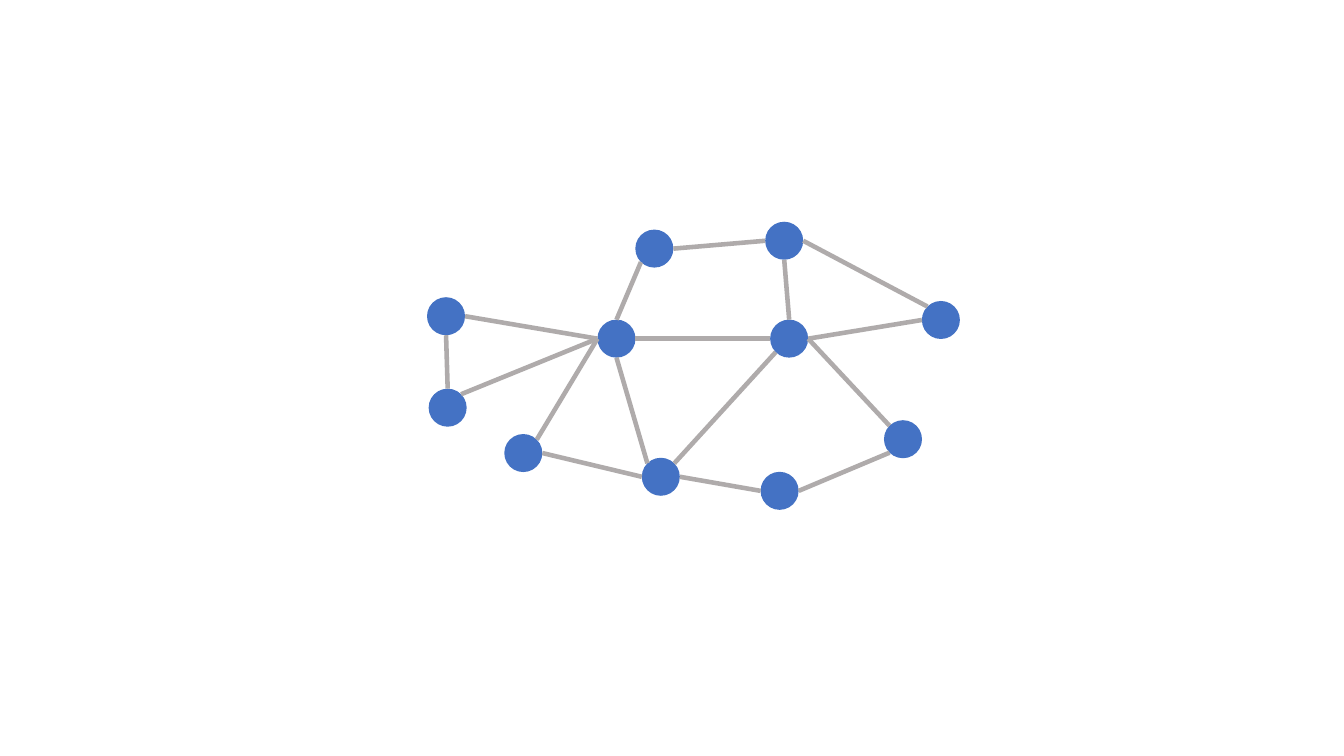
import math
from typing import NamedTuple

from lxml import etree
from pptx import Presentation
from pptx import util as u
from pptx.dml import color
from pptx.enum import shapes
from pptx.oxml import ns

WIDTH, HEIGHT = u.Inches(13.33), u.Inches(7.5)
COLUMN, ROW = WIDTH / 100, HEIGHT / 100
DIAMETER = 2.83 * COLUMN
EDGE_WEIGHT = u.Pt(3.25)
COLORS = {"node": "4472C4", "edge": "AFABAB"}

# Clockwise angles in degrees from the right-hand side of a circle
SIDES = {
    "right": 0, "lower right": 45, "bottom": 90, "lower left": 135,
    "left": 180, "upper left": 225, "top": 270, "upper right": 315,
}


class Node(NamedTuple):
    """Centre of a circle, in columns and rows."""
    column: float
    row: float


class Edge(NamedTuple):
    start: str
    start_side: str
    end: str
    end_side: str


NODES = {
    "left hub": Node(45.87, 44.8),
    "right hub": Node(58.72, 44.8),
    "southwest": Node(38.94, 59.93),
    "east": Node(70.01, 42.33),
    "southeast": Node(67.19, 58.1),
    "west upper": Node(33.19, 41.83),
    "west lower": Node(33.31, 53.93),
    "south left": Node(49.17, 63.07),
    "south right": Node(58.01, 64.93),
    "north right": Node(58.35, 31.85),
    "north left": Node(48.69, 32.89),
}

EDGES = [
    Edge("left hub", "right", "right hub", "left"),
    Edge("right hub", "right", "southeast", "upper left"),
    Edge("right hub", "right", "east", "left"),
    Edge("left hub", "left", "southwest", "upper right"),
    Edge("left hub", "left", "west lower", "upper right"),
    Edge("left hub", "left", "west upper", "right"),
    Edge("left hub", "top", "north left", "lower left"),
    Edge("north left", "right", "north right", "left"),
    Edge("west lower", "top", "west upper", "bottom"),
    Edge("southwest", "right", "south left", "left"),
    Edge("southeast", "lower left", "south right", "right"),
    Edge("east", "upper left", "north right", "right"),
    Edge("north right", "bottom", "right hub", "top"),
    Edge("south left", "upper left", "left hub", "bottom"),
    Edge("south left", "upper right", "right hub", "lower left"),
    Edge("south left", "right", "south right", "left"),
]


def rim_point(name: str, side: str) -> tuple[int, int]:
    """Return the point on a node's circle at the given side."""
    node, angle = NODES[name], math.radians(SIDES[side])
    return (
        round(node.column * COLUMN + DIAMETER / 2 * math.cos(angle)),
        round(node.row * ROW + DIAMETER / 2 * math.sin(angle)),
    )


def draw_node(slide, node: Node) -> None:
    left = round(node.column * COLUMN - DIAMETER / 2)
    top = round(node.row * ROW - DIAMETER / 2)
    size = round(DIAMETER)
    shape = slide.shapes.add_shape(
        shapes.MSO_SHAPE.OVAL, left, top, size, size)
    shape.shadow.inherit = False
    shape.fill.solid()
    shape.fill.fore_color.rgb = color.RGBColor.from_string(COLORS["node"])
    shape.line.fill.background()


def draw_edge(slide, edge: Edge) -> None:
    connector = slide.shapes.add_connector(
        shapes.MSO_CONNECTOR.STRAIGHT,
        *rim_point(edge.start, edge.start_side),
        *rim_point(edge.end, edge.end_side))
    connector.line.width = EDGE_WEIGHT
    connector.line.color.rgb = color.RGBColor.from_string(COLORS["edge"])
    etree.SubElement(connector._element.spPr, ns.qn("a:effectLst"))


def main() -> None:
    presentation = Presentation()
    presentation.slide_width, presentation.slide_height = WIDTH, HEIGHT
    slide = presentation.slides.add_slide(presentation.slide_layouts[6])
    for node in NODES.values():
        draw_node(slide, node)
    for edge in EDGES:
        draw_edge(slide, edge)
    presentation.save("out.pptx")


if __name__ == "__main__":
    main()
